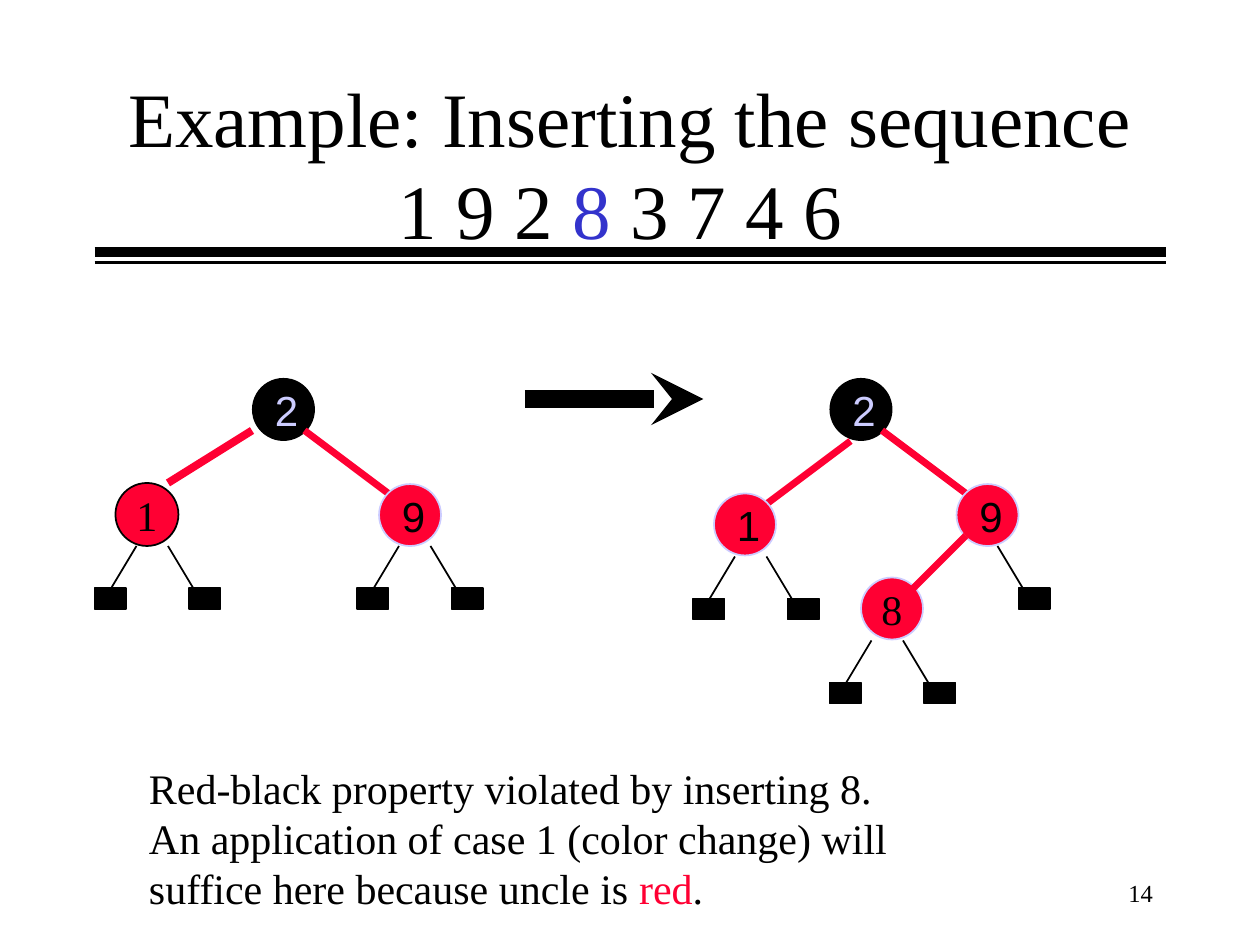
import pptx
import pptx.dml.color
import pptx.enum.shapes
import pptx.enum.text
import pptx.oxml.ns
import pptx.util
import lxml.etree

RGBColor = pptx.dml.color.RGBColor
MSO_SHAPE = pptx.enum.shapes.MSO_SHAPE
PP_ALIGN = pptx.enum.text.PP_ALIGN
MSO_ANCHOR = pptx.enum.text.MSO_ANCHOR

BLACK = RGBColor(0x00, 0x00, 0x00)
RED = RGBColor(0xFF, 0x00, 0x33)
BLUE = RGBColor(0x33, 0x33, 0xCC)
LAVENDER = RGBColor(0xCC, 0xCC, 0xFF)
SERIF, SANS = "Times New Roman", "Arial"

EMU_PER_PX = 914400 // 120  # 120 px to the inch

TITLE = [("Example: Inserting the sequence 1 9 2 ", BLACK), ("8", BLUE), (" 3 7 4 6 ", BLACK)]
EXPLANATION = [
    ("Red-black property violated by inserting 8. An application of case 1 "
     "(color change) will suffice here because uncle is ", BLACK),
    ("red", RED),
    (".", BLACK),
]
PAGE_NUMBER = [("14", BLACK)]

# Rules under the title: y, width in points
RULES = [(240, 6), (250, 2)]

# Tree parts from back to front.
# node: key, left, top, size, fill, outline, label font
# edge: start x, start y, end x, end y, width in points
TREES = [
    ("node", "2", 790, 360, 60, BLACK, None, SANS),
    ("edge", 840, 410, 920, 470, 4),
    ("node", "9", 911, 461, 59, RED, LAVENDER, SANS),
    ("node", "8", 820, 550, 59, RED, LAVENDER, SERIF),
    ("edge", 920, 510, 860, 570, 4),
    ("edge", 810, 420, 730, 480, 4),
    ("node", "1", 680, 470, 59, RED, LAVENDER, SANS),
    ("node", "2", 240, 360, 60, BLACK, None, SANS),
    ("edge", 290, 410, 370, 470, 4),
    ("node", "9", 361, 461, 59, RED, LAVENDER, SANS),
    ("node", "1", 110, 460, 60, RED, BLACK, SERIF),
    ("edge", 240, 410, 160, 460, 4.5),
]

# Leaves hanging from a parent: left, bottom, sides
LEAF_PARENTS = [
    (360, 520, "RL"),
    (110, 520, "RL"),
    (680, 530, "RL"),
    (810, 610, "RL"),
    (900, 520, "R"),
]
# Offsets by side: stem start x, stem end x, box left
LEAF_OFFSETS = {"L": (20, -10, -20), "R": (50, 80, 70)}


def px(*lengths):
    return [pptx.util.Emu(length * EMU_PER_PX) for length in lengths]


def add_line(slide, start_x, start_y, end_x, end_y, color, width, arrow=False):
    line = slide.shapes.add_connector(
        pptx.enum.shapes.MSO_CONNECTOR.STRAIGHT, *px(start_x, start_y, end_x, end_y))
    line.line.color.rgb = color
    line.line.width = pptx.util.Pt(width)
    properties = line._element.spPr
    if arrow:
        lxml.etree.SubElement(properties.get_or_add_ln(), pptx.oxml.ns.qn("a:tailEnd"),
                              type="stealth")
    lxml.etree.SubElement(properties, pptx.oxml.ns.qn("a:effectLst"))


def add_solid(slide, kind, left, top, width, height, fill, outline):
    shape = slide.shapes.add_shape(kind, *px(left, top, width, height))
    shape.shadow.inherit = False
    shape.fill.solid()
    shape.fill.fore_color.rgb = fill
    if outline is None:
        shape.line.fill.background()
    else:
        shape.line.color.rgb = outline
        shape.line.width = pptx.util.Pt(1)
    return shape


def write(frame, runs, size, font=SERIF, align=PP_ALIGN.LEFT, anchor=MSO_ANCHOR.TOP, wrap=True):
    frame.auto_size = pptx.enum.text.MSO_AUTO_SIZE.NONE
    frame.word_wrap = wrap
    frame.vertical_anchor = anchor
    paragraph = frame.paragraphs[0]
    paragraph.alignment = align
    paragraph.font.size = pptx.util.Pt(size)
    paragraph.font.name = font
    for text, color in runs:
        run = paragraph.add_run()
        run.text = text
        run.font.color.rgb = color


def add_text(slide, left, top, width, height, runs, size, **style):
    box = slide.shapes.add_textbox(*px(left, top, width, height))
    write(box.text_frame, runs, size, **style)


def add_node(slide, key, left, top, size, fill, outline, font):
    """Serif keys sit inside the circle, sans keys in a box just right of it."""
    circle = add_solid(slide, MSO_SHAPE.OVAL, left, top, size, size, fill, outline)
    label = [(key, LAVENDER if fill == BLACK else BLACK)]
    if font == SERIF:
        write(circle.text_frame, label, 24, align=PP_ALIGN.CENTER,
              anchor=MSO_ANCHOR.MIDDLE, wrap=False)
    else:
        add_text(slide, left + 10, top, 90, 60, label, 24, font=font)


def add_leaf(slide, left, bottom, side):
    start, end, box = LEAF_OFFSETS[side]
    add_line(slide, left + start, bottom, left + end, bottom + 50, BLACK, 1)
    add_solid(slide, MSO_SHAPE.RECTANGLE, left + box, bottom + 40, 30, 20, BLACK, BLACK)


def main():
    presentation = pptx.Presentation()
    presentation.slide_width, presentation.slide_height = px(1200, 900)
    slide = presentation.slides.add_slide(presentation.slide_layouts[5])

    for y, width in RULES:
        add_line(slide, 90, y, 1110, y, BLACK, width)

    title = slide.shapes.title
    title.left, title.top, title.width, title.height = px(90, 80, 1020, 150)
    write(title.text_frame, TITLE, 44, align=PP_ALIGN.CENTER, anchor=MSO_ANCHOR.MIDDLE)

    add_text(slide, 130, 720, 731, 156, EXPLANATION, 24)
    add_line(slide, 500, 380, 670, 380, BLACK, 10, arrow=True)

    for kind, *part in TREES:
        if kind == "node":
            add_node(slide, *part)
        else:
            *ends, width = part
            add_line(slide, *ends, RED, width)

    for left, bottom, sides in LEAF_PARENTS:
        for side in sides:
            add_leaf(slide, left, bottom, side)

    add_text(slide, 860, 820, 250, 60, PAGE_NUMBER, 14,
             align=PP_ALIGN.RIGHT, anchor=MSO_ANCHOR.MIDDLE)
    presentation.save("out.pptx")


if __name__ == "__main__":
    main()
